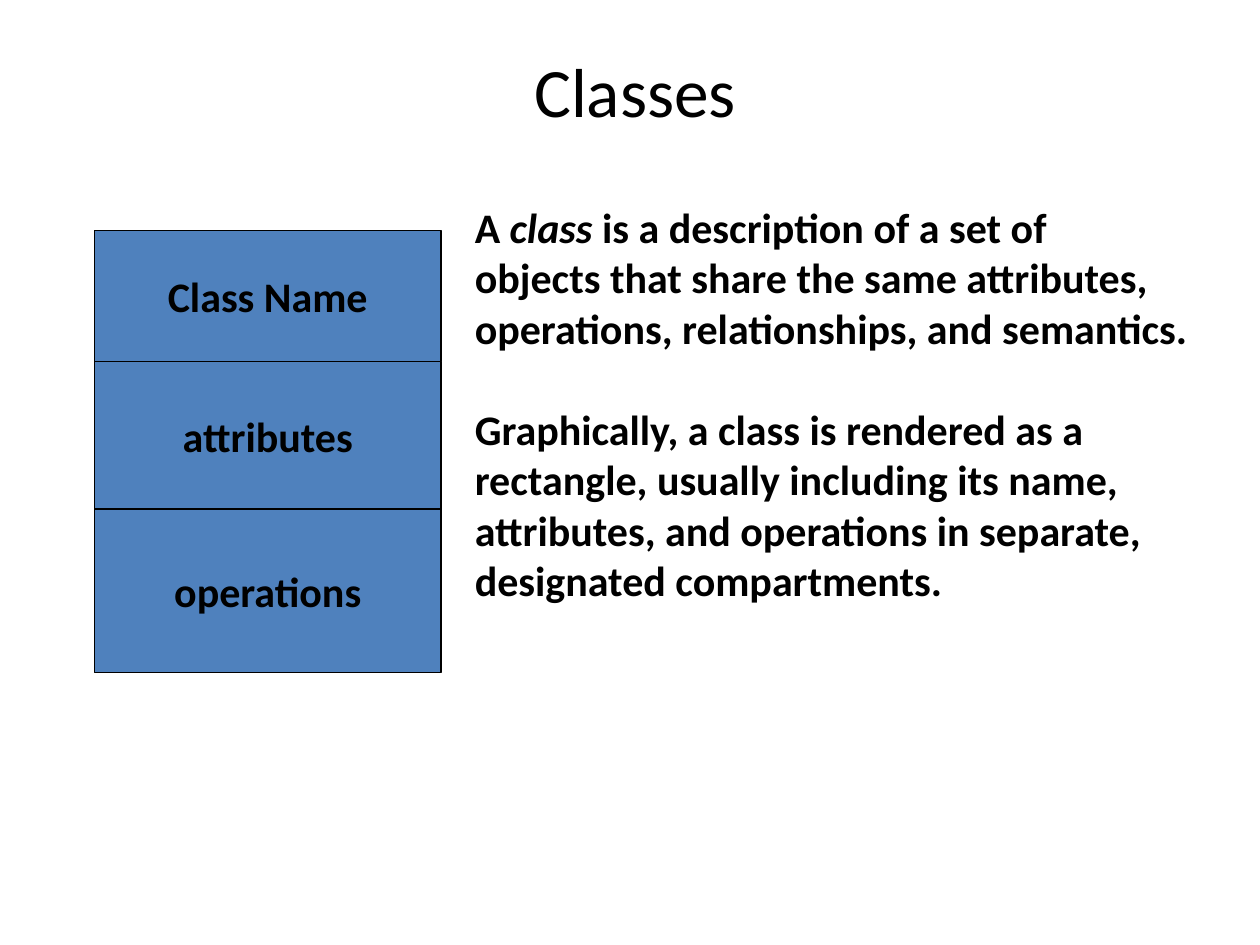
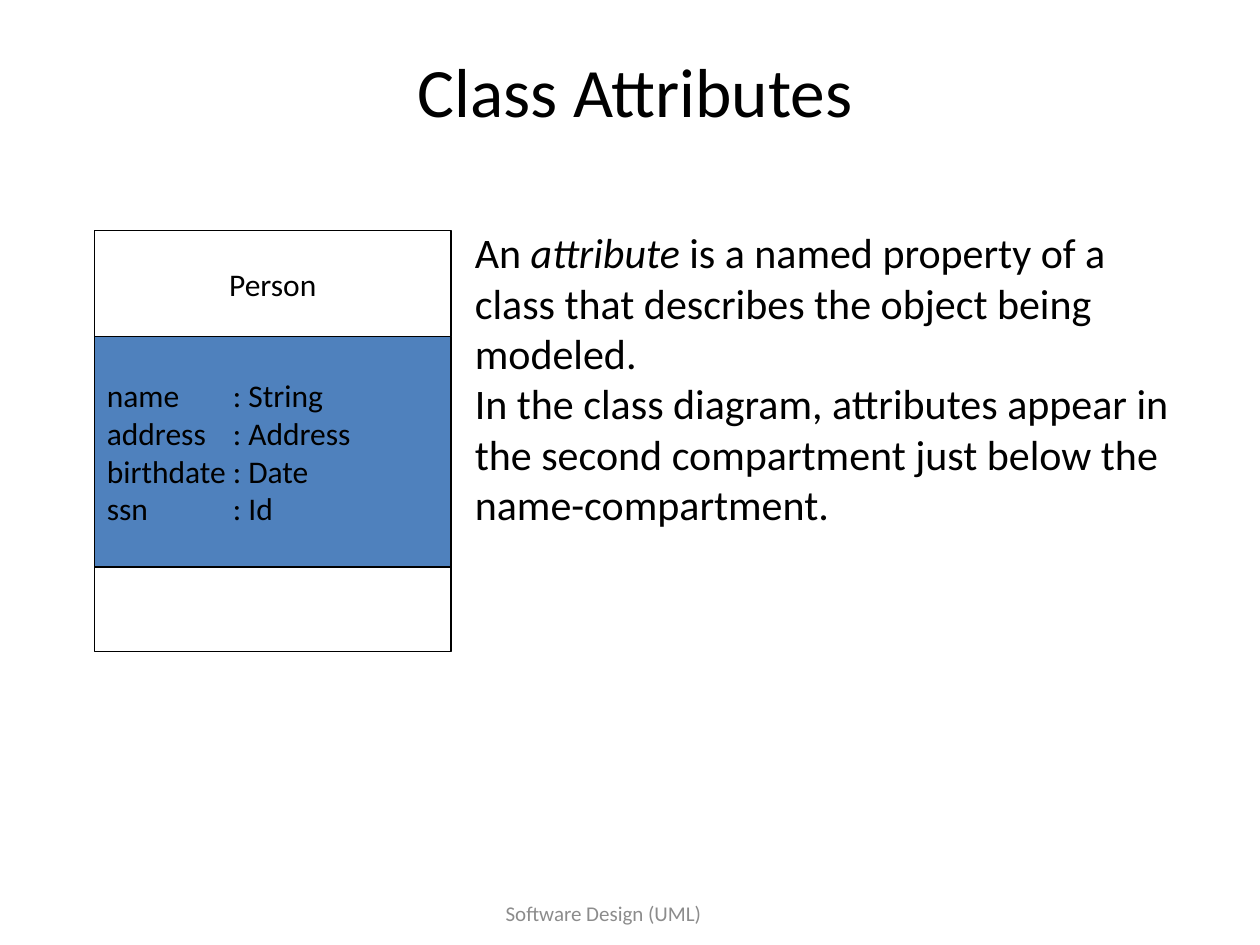
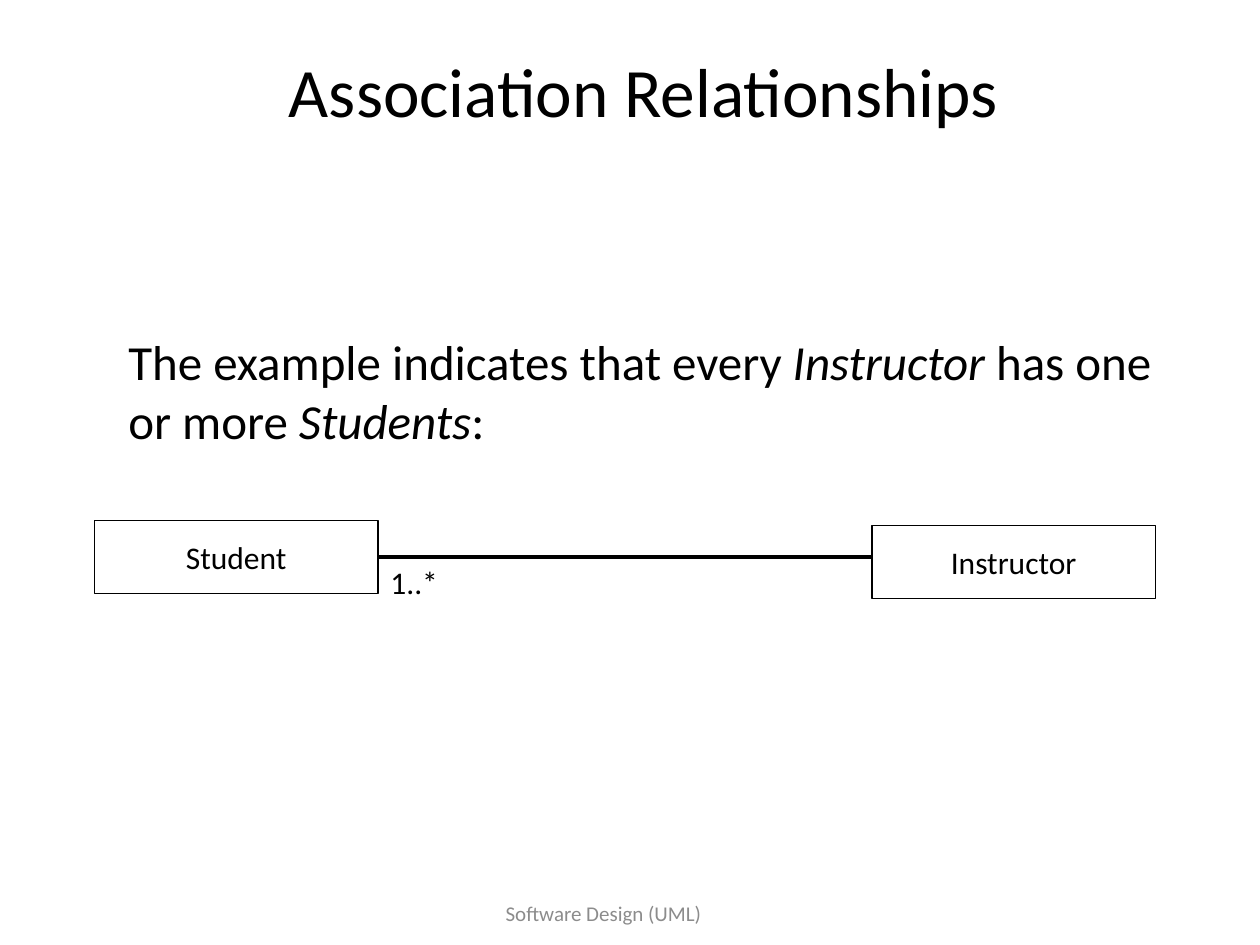
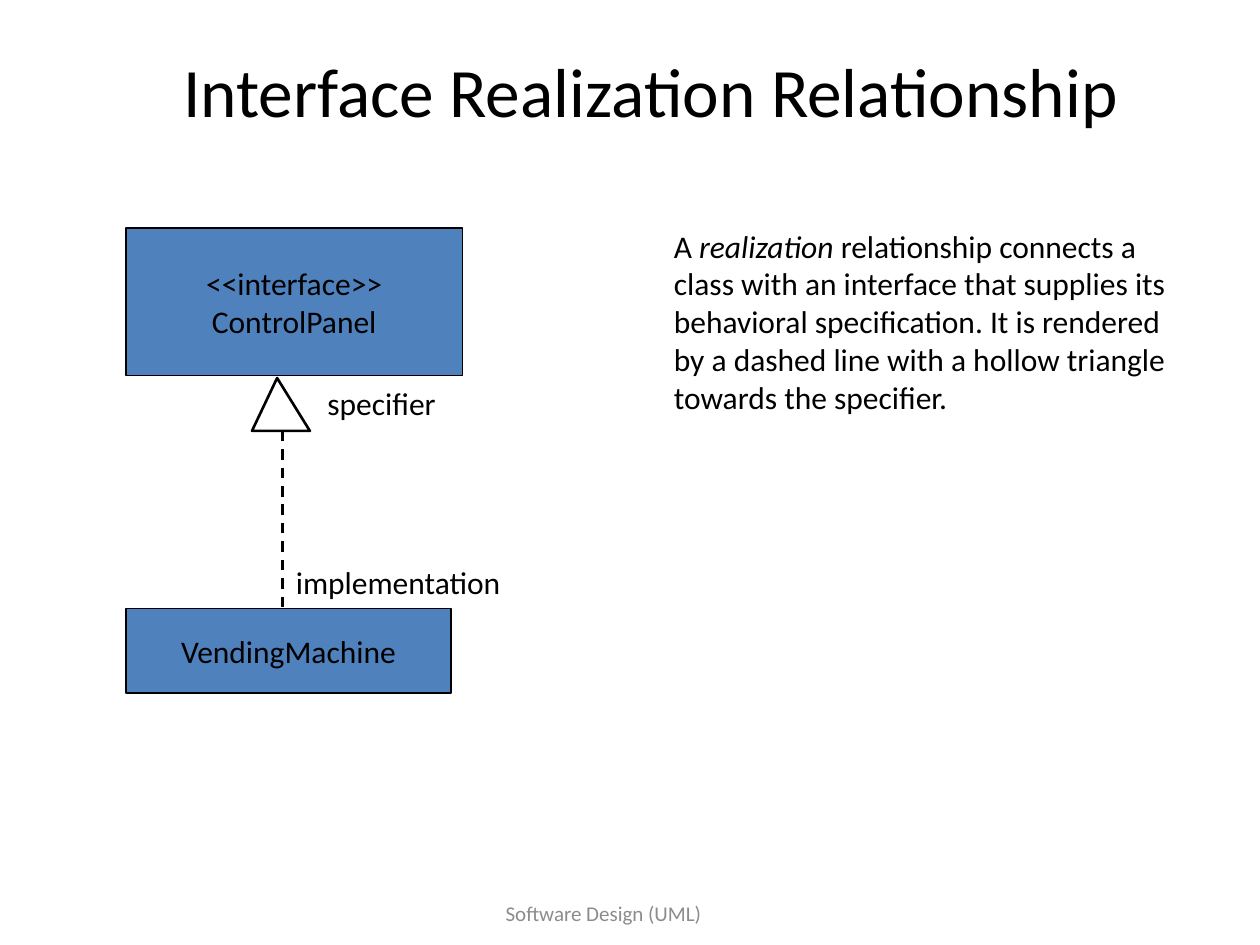
from dataclasses import dataclass

from lxml.etree import SubElement
from pptx import Presentation
from pptx.dml.color import RGBColor
from pptx.enum.dml import MSO_LINE_DASH_STYLE as Dash
from pptx.enum.shapes import MSO_CONNECTOR as Connector, MSO_SHAPE as Shape
from pptx.enum.text import MSO_ANCHOR as Anchor, MSO_AUTO_SIZE as AutoSize, PP_ALIGN as Align
from pptx.oxml.ns import qn
from pptx.util import Inches, Pt

BLACK = RGBColor(0x00, 0x00, 0x00)
WHITE = RGBColor(0xFF, 0xFF, 0xFF)
BLUE = RGBColor(0x4F, 0x81, 0xBD)
GREY = RGBColor(0x8C, 0x8C, 0x8C)
FONT = "Calibri"
THIN, MEDIUM, THICK = 0.75, 1.5, 2.25
RIGHT_SIDE = 3


@dataclass
class Place:
    left: float
    top: float
    width: float
    height: float

    def lengths(self) -> tuple:
        return tuple(Inches(v) for v in (self.left, self.top, self.width, self.height))


@dataclass
class Style:
    size: float = 18
    bold: bool = False
    color: RGBColor = BLACK
    align: Align = Align.LEFT
    tab: float = 0


@dataclass
class Compartment:
    """One section of a class box; its lines may be empty."""
    height: float
    lines: tuple = ()
    fill: RGBColor = BLUE
    style: Style = None


CENTERED = Style(align=Align.CENTER)
BOLD_CENTERED = Style(24, bold=True, align=Align.CENTER)
TITLE = Style(39.6, align=Align.CENTER)
FOOTER = Style(12, color=GREY, align=Align.CENTER)
FOOTER_PLACE = Place(2.58, 7, 4.42, 0.5)


def set_all(target, values: dict) -> None:
    for name, value in values.items():
        setattr(target, name, value)


def write(frame, lines: tuple, style: Style, gaps: dict | None = None) -> None:
    """Write one paragraph per line; _underscores_ mark italics, gaps gives points before a line."""
    for index, line in enumerate(lines):
        paragraph = frame.paragraphs[0] if index == 0 else frame.add_paragraph()
        if style.tab:
            tab_list = SubElement(paragraph._p.get_or_add_pPr(), qn("a:tabLst"))
            SubElement(tab_list, qn("a:tab"), pos=str(Inches(style.tab)), algn="l")
        paragraph.alignment = style.align
        if gaps and index in gaps:
            paragraph.space_before = Pt(gaps[index])
        for part, words in enumerate(line.split("_")):
            if words:
                run = paragraph.add_run()
                run.text = words
                set_all(run.font, {"name": FONT, "size": Pt(style.size),
                                   "bold": style.bold, "italic": part % 2 == 1})
                run.font.color.rgb = style.color


def style_outline(shape, fill: RGBColor, weight: float) -> None:
    shape.shadow.inherit = False
    shape.fill.solid()
    shape.fill.fore_color.rgb = fill
    shape.line.color.rgb = BLACK
    shape.line.width = Pt(weight)


def add_text(slide, place: Place, lines: tuple, style: Style, gaps: dict | None = None) -> None:
    frame = slide.shapes.add_textbox(*place.lengths()).text_frame
    set_all(frame, {"word_wrap": True, "auto_size": AutoSize.SHAPE_TO_FIT_TEXT})
    write(frame, lines, style, gaps)


def add_box(slide, place: Place, lines: tuple, fill: RGBColor, style: Style = CENTERED):
    box = slide.shapes.add_shape(Shape.RECTANGLE, *place.lengths())
    style_outline(box, fill, THIN)
    set_all(box.text_frame, {"word_wrap": True, "vertical_anchor": Anchor.MIDDLE})
    write(box.text_frame, lines, style)
    return box


def add_class(slide, left: float, top: float, width: float, compartments: list) -> None:
    """Stack the compartments of a class box from the top down."""
    for part in compartments:
        add_box(slide, Place(left, top, width, part.height), part.lines, part.fill,
                part.style or CENTERED)
        top += part.height


def add_line(slide, start: tuple, end: tuple, weight: float, dash: Dash | None = None):
    line = slide.shapes.add_connector(Connector.STRAIGHT, *(Inches(v) for v in start + end))
    line.line.color.rgb = BLACK
    line.line.width = Pt(weight)
    if dash:
        line.line.dash_style = dash
    SubElement(line._element.spPr, qn("a:effectLst"))
    return line


def add_slide(deck, title: str, left: float = 0.75, width: float = 8.58, footer: bool = True):
    slide = deck.slides.add_slide(deck.slide_layouts[5])
    heading = slide.shapes.title
    position = Place(left, 0.42, width, 0.58).lengths()
    set_all(heading, dict(zip(("left", "top", "width", "height"), position)))
    set_all(heading.text_frame, {"auto_size": AutoSize.NONE, "word_wrap": True,
                                 "vertical_anchor": Anchor.MIDDLE})
    write(heading.text_frame, (title,), TITLE)
    if footer:
        frame = slide.shapes.add_textbox(*FOOTER_PLACE.lengths()).text_frame
        set_all(frame, {"word_wrap": True, "vertical_anchor": Anchor.MIDDLE})
        write(frame, ("Software Design (UML)",), FOOTER)
    return slide


def build_classes(deck) -> None:
    slide = add_slide(deck, "Classes", footer=False)
    add_class(slide, 0.75, 1.83, 2.75, [
        Compartment(1.04, ("Class Name",), style=BOLD_CENTERED),
        Compartment(1.17, ("attributes",), style=BOLD_CENTERED),
        Compartment(1.3, ("operations",), style=BOLD_CENTERED),
    ])
    add_text(slide, Place(3.67, 1.55, 6.07, 3.33), (
        "A _class_ is a description of a set of",
        "objects that share the same attributes,",
        "operations, relationships, and semantics.",
        "Graphically, a class is rendered as a",
        "rectangle, usually including its name,",
        "attributes, and operations in separate,",
        "designated compartments.",
    ), Style(24, bold=True), gaps={3: 29})


def build_attributes(deck) -> None:
    slide = add_slide(deck, "Class Attributes")
    fields = ("name\t: String", "address\t: Address", "birthdate\t: Date", "ssn\t: Id")
    add_class(slide, 0.75, 1.83, 2.83, [
        Compartment(0.84, ("Person",), WHITE),
        Compartment(1.83, fields, style=Style(tab=1)),
        Compartment(0.67, fill=WHITE),
    ])
    add_text(slide, Place(3.67, 1.75, 6.11, 2.52), (
        "An _attribute_ is a named property of a",
        "class that describes the object being modeled.",
        "In the class diagram, attributes appear in",
        "the second compartment just below the",
        "name-compartment.",
    ), Style(24))


def build_association(deck) -> None:
    slide = add_slide(deck, "Association Relationships ", 0.67, 9)
    add_text(slide, Place(0.92, 2.58, 8.62, 1.04), (
        "The example indicates that every _Instructor_ has one or more _Students_:",
    ), Style(28))
    association = add_line(slide, (3, 4.42), (7, 4.42), THICK)
    add_box(slide, Place(6.92, 4.17, 2.25, 0.58), ("Instructor",), WHITE)
    student = add_box(slide, Place(0.75, 4.13, 2.25, 0.58), ("Student",), WHITE)
    association.begin_connect(student, RIGHT_SIDE)
    add_text(slide, Place(3, 4.42, 0.75, 0.5), ("1..*",), Style())


def build_realization(deck) -> None:
    slide = add_slide(deck, "Interface Realization Relationship", width=8.83)
    add_box(slide, Place(1, 1.81, 2.67, 1.17), ("<<interface>>", "ControlPanel"), BLUE)
    add_box(slide, Place(1, 4.83, 2.58, 0.67), ("VendingMachine",), BLUE)
    add_line(slide, (2.24, 3.42), (2.24, 4.83), MEDIUM, Dash.DASH)
    outline = slide.shapes.build_freeform(Inches(2.2), Inches(3))
    outline.add_line_segments([(Inches(x), Inches(3.42)) for x in (2, 2.46)], close=True)
    style_outline(outline.convert_to_shape(), WHITE, MEDIUM)
    add_text(slide, Place(5.25, 1.75, 4.33, 2.9), (
        "A _realization_ relationship connects a class with an interface that supplies its "
        "behavioral specification. It is rendered by a dashed line with a hollow triangle "
        "towards the specifier.",
    ), Style())
    add_text(slide, Place(2.5, 3, 1.08, 0.4), ("specifier",), Style())
    add_text(slide, Place(2.25, 4.42, 1.83, 0.4), ("implementation",), Style())


def main() -> None:
    deck = Presentation()
    deck.slide_width, deck.slide_height = Inches(10), Inches(7.5)
    for build in (build_classes, build_attributes, build_association, build_realization):
        build(deck)
    deck.save("out.pptx")


if __name__ == "__main__":
    main()
